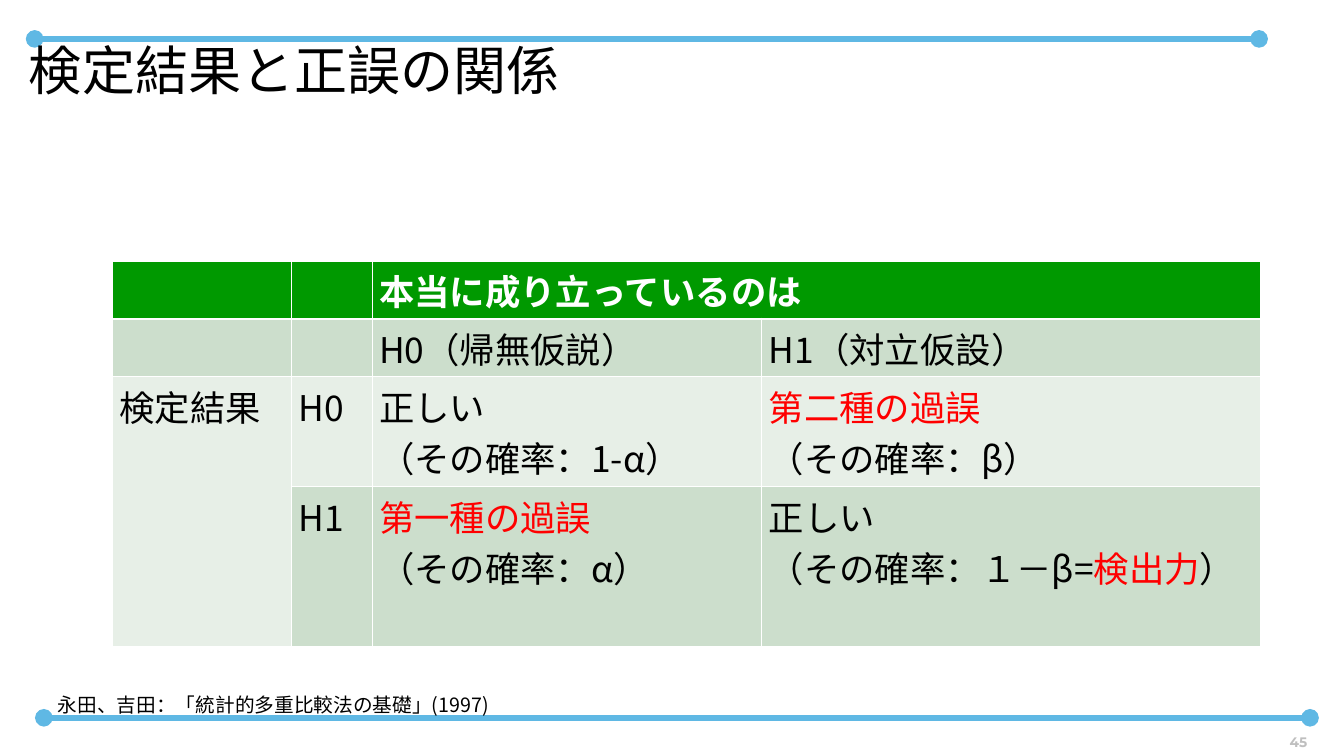
from lxml import etree
from pptx import Presentation
from pptx.dml.color import RGBColor
from pptx.enum.shapes import MSO_CONNECTOR
from pptx.enum.text import MSO_ANCHOR, PP_ALIGN
from pptx.oxml.ns import qn
from pptx.util import Inches, Pt

STRAIGHT = MSO_CONNECTOR.STRAIGHT
TOP, BOTTOM = MSO_ANCHOR.TOP, MSO_ANCHOR.BOTTOM
LEFT, RIGHT = PP_ALIGN.LEFT, PP_ALIGN.RIGHT
BLANK_LAYOUT = 6

COLORS = {
    "rule": "5FB8E4",
    "text": "000000",
    "number": "BFBFBF",
    "error": "FF0000",
    "white": "FFFFFF",
    "header": "009900",
    "dark_band": "CCDECC",
    "light_band": "E7EFE7",
}
BODY_FONT = "Noto Sans CJK JP"
TITLE_FORMAT = {"name": "League Spartan", "size": Pt(54)}
NUMBER_FORMAT = {"name": "Montserrat", "size": Pt(14), "bold": True}
SOURCE_FORMAT = {"name": BODY_FONT, "size": Pt(20)}
CELL_FORMAT = {"name": BODY_FONT, "size": Pt(36), "bold": False}
HEADER_FORMAT = {**CELL_FORMAT, "bold": True}

COLUMN_WIDTHS = [2.53, 1.14, 5.51, 7.05]
ROW_HEIGHTS = [0.82, 0.82, 1.55, 2.26]
ROW_FILLS = ["header", "dark_band", "light_band", "dark_band"]
CELLS = [
    ["", "", "本当に成り立っているのは", ""],
    ["", "", "H0（帰無仮説）", "H1（対立仮設）"],
    ["検定結果", "H0", "正しい\n（その確率：1-α）", "*第二種の過誤*\n（その確率：β）"],
    ["", "H1", "*第一種の過誤*\n（その確率：α）", "正しい\n（その確率：１－β=*検出力*）"],
]


def rgb(name):
    return RGBColor.from_string(COLORS[name])


def add_span(para, text, color, font_format):
    span = para.add_run()
    span.text = text
    span.font.color.rgb = rgb(color)
    for key, value in font_format.items():
        setattr(span.font, key, value)
    east_asian = etree.SubElement(span.font._element, qn("a:ea"))
    east_asian.set("typeface", BODY_FONT)


def add_rule(slide, left, right, top):
    rule = slide.shapes.add_connector(
        STRAIGHT, Inches(left), Inches(top), Inches(right), Inches(top))
    rule.line.color.rgb = rgb("rule")
    rule.line.width = Pt(6)
    line = rule.line._get_or_add_ln()
    for end in ("a:headEnd", "a:tailEnd"):
        etree.SubElement(line, qn(end)).set("type", "oval")
    etree.SubElement(rule._element.spPr, qn("a:effectLst"))


def add_text(slide, area, text, color, font_format, frame_format, para_format):
    box = slide.shapes.add_textbox(*map(Inches, area))
    frame = box.text_frame
    for key, value in {"word_wrap": True, **frame_format}.items():
        setattr(frame, key, value)
    para = frame.paragraphs[0]
    for key, value in para_format.items():
        setattr(para, key, value)
    add_span(para, text, color, font_format)


def add_borders(cell, widths):
    properties = cell._tc.get_or_add_tcPr()
    for side, width in zip("LRTB", widths):
        line = etree.SubElement(properties, qn("a:ln" + side), w=str(Pt(width)))
        fill = etree.SubElement(line, qn("a:solidFill"))
        etree.SubElement(fill, qn("a:srgbClr")).set("val", COLORS["white"])


def fill_cell(cell, text, color, font_format):
    frame = cell.text_frame
    for index, line in enumerate(text.split("\n") if text else []):
        para = frame.add_paragraph() if index else frame.paragraphs[0]
        for part, words in enumerate(line.split("*")):
            if words:
                add_span(para, words, "error" if part % 2 else color, font_format)


def add_result_table(slide):
    table = slide.shapes.add_table(
        len(ROW_HEIGHTS), len(COLUMN_WIDTHS), Inches(1.59), Inches(3.69),
        Inches(sum(COLUMN_WIDTHS)), Inches(sum(ROW_HEIGHTS))).table
    for column, width in zip(table.columns, COLUMN_WIDTHS):
        column.width = Inches(width)
    for row, height in zip(table.rows, ROW_HEIGHTS):
        row.height = Inches(height)
    for row_index, texts in enumerate(CELLS):
        is_header = row_index == 0
        color = "white" if is_header else "text"
        font_format = HEADER_FORMAT if is_header else CELL_FORMAT
        top_width = 3 if row_index == 1 else 1
        bottom_width = 3 if is_header else 1
        for column_index, text in enumerate(texts):
            cell = table.cell(row_index, column_index)
            add_borders(cell, [1, 1, top_width, bottom_width])
            cell.fill.solid()
            cell.fill.fore_color.rgb = rgb(ROW_FILLS[row_index])
            fill_cell(cell, text, color, font_format)
    table.cell(0, 2).merge(table.cell(0, 3))
    table.cell(2, 0).merge(table.cell(3, 0))


def main():
    deck = Presentation()
    deck.slide_width, deck.slide_height = Inches(19), Inches(10.69)
    slide = deck.slides.add_slide(deck.slide_layouts[BLANK_LAYOUT])
    add_rule(slide, 0.49, 17.8, 0.55)
    add_rule(slide, 0.62, 18.52, 10.15)
    no_margins = dict.fromkeys(
        ["margin_left", "margin_top", "margin_right", "margin_bottom"], 0)
    add_text(slide, (0.41, 0.53, 17.39, 1.55), "検定結果と正誤の関係", "text",
             TITLE_FORMAT, {**no_margins, "vertical_anchor": TOP}, {"alignment": LEFT})
    add_text(slide, (17.54, 10.16, 1.04, 0.5), "45", "number",
             NUMBER_FORMAT, {"vertical_anchor": BOTTOM}, {"alignment": RIGHT})
    add_result_table(slide)
    add_text(slide, (0.72, 9.75, 17.29, 0.44),
             "永田、吉田：「統計的多重比較法の基礎」(1997)", "text",
             SOURCE_FORMAT, {"vertical_anchor": TOP}, {"space_after": Pt(12)})
    deck.save("out.pptx")


if __name__ == "__main__":
    main()
